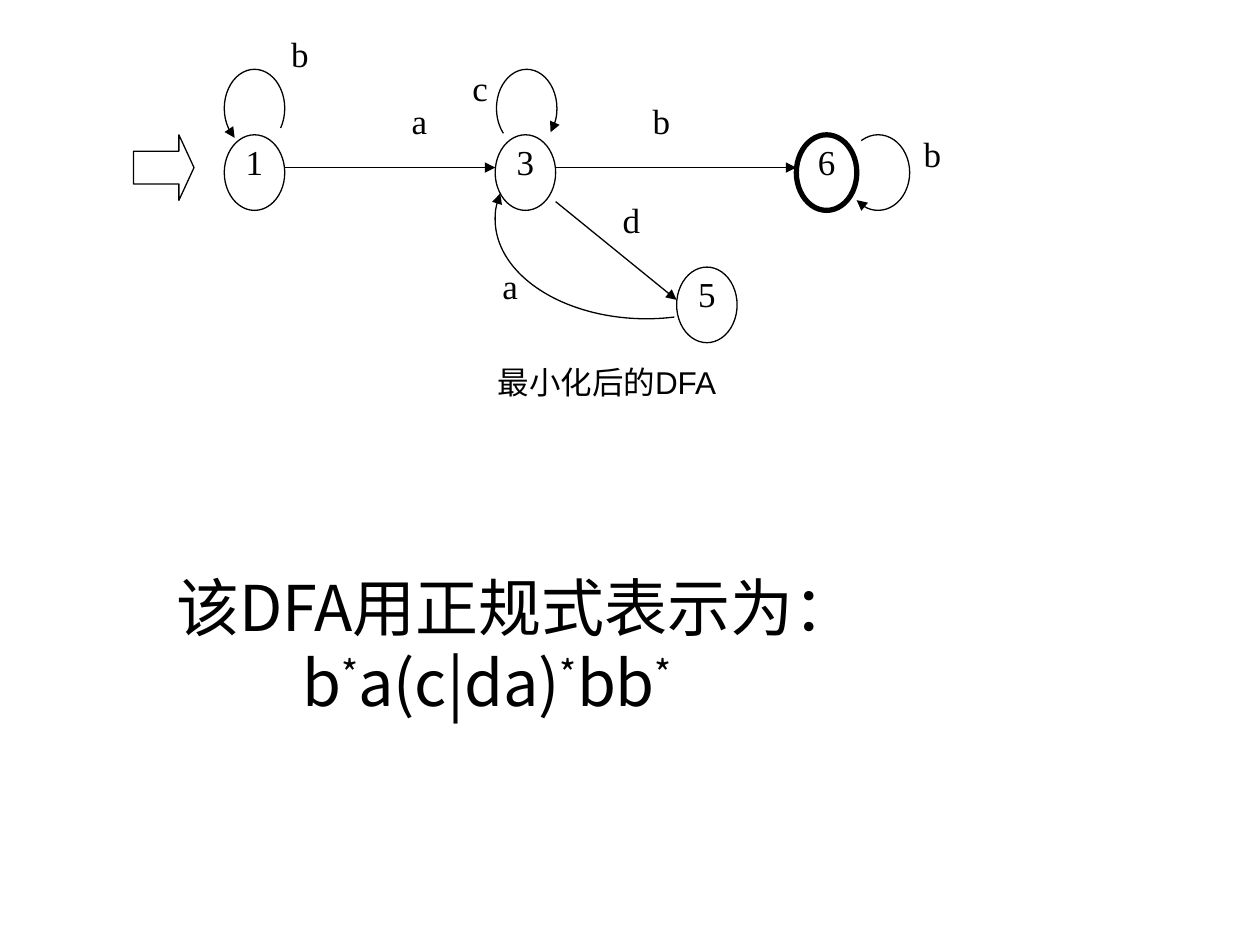
from typing import NamedTuple

from pptx import Presentation
from pptx.dml.color import RGBColor
from pptx.enum.shapes import MSO_CONNECTOR, MSO_SHAPE
from pptx.enum.text import MSO_ANCHOR, PP_ALIGN
from pptx.oxml.ns import qn
from pptx.util import Inches, Pt
from lxml.etree import SubElement

BLACK = RGBColor(0x00, 0x00, 0x00)
WHITE = RGBColor(0xFF, 0xFF, 0xFF)
SERIF, SANS, CHINESE = "Times New Roman", "Arial", "Noto Sans CJK SC"
STATE_WIDTH, STATE_HEIGHT = 0.48, 0.6
LABEL_WIDTH, LABEL_HEIGHT = 0.24, 0.42


class State(NamedTuple):
    name: str
    left: float
    top: float
    border: float = 0.75


class Label(NamedTuple):
    symbol: str
    left: float
    top: float


class Edge(NamedTuple):
    start: tuple[float, float]
    end: tuple[float, float]


class Curve(NamedTuple):
    """Clockwise arc: centre, radii, and start and end angles in degrees."""
    centre: tuple[float, float]
    radii: tuple[float, float]
    start: float
    end: float
    arrow: str = "tailEnd"


STATES = [State("1", 1.78, 1.07), State("3", 3.93, 1.07),
          State("6", 6.32, 1.07, 3), State("5", 5.37, 2.12)]
LABELS = [Label("b", 2.26, 0.28), Label("a", 3.21, 0.81), Label("c", 3.69, 0.55),
          Label("b", 5.13, 0.81), Label("b", 7.28, 1.07), Label("d", 4.89, 1.6),
          Label("a", 3.93, 2.12)]
EDGES = [Edge((2.26, 1.33), (3.93, 1.33)), Edge((4.41, 1.33), (6.32, 1.33)),
         Edge((4.41, 1.6), (5.37, 2.38))]
CURVES = [Curve((2.02, 0.86), (0.24, 0.31), 124, 37, "headEnd"),
          Curve((4.18, 0.86), (0.24, 0.31), 133, 45),
          Curve((6.97, 1.37), (0.25, 0.3), 242, 128),
          Curve((5.13, 1.74), (1.2, 0.79), 74, 190)]


def add_span(para, text: str, font: str, size: float):
    span = para.add_run()
    span.text = text
    span.font.name = font
    span.font.size = Pt(size)
    span.font.color.rgb = BLACK
    SubElement(span.font._element, qn("a:ea")).set("typeface", CHINESE)
    return span


def write_symbol(frame, symbol: str, spacing: float) -> None:
    frame.margin_left = frame.margin_right = 0
    frame.margin_top = frame.margin_bottom = 0
    frame.vertical_anchor = MSO_ANCHOR.TOP
    frame.word_wrap = True
    para = frame.paragraphs[0]
    para.alignment = PP_ALIGN.CENTER
    para.line_spacing = spacing
    add_span(para, symbol, SERIF, 20)


def add_outline(page, kind, left: float, top: float, width: float, height: float,
                border: float = 0.75):
    shape = page.shapes.add_shape(kind, Inches(left), Inches(top),
                                  Inches(width), Inches(height))
    shape.shadow.inherit = False
    shape.fill.solid()
    shape.fill.fore_color.rgb = WHITE
    shape.line.color.rgb = BLACK
    shape.line.width = Pt(border)
    return shape


def add_arrowhead(line, end: str) -> None:
    SubElement(line._get_or_add_ln(), qn(f"a:{end}")).set("type", "triangle")


def add_state(page, state: State) -> None:
    oval = add_outline(page, MSO_SHAPE.OVAL, state.left, state.top,
                       STATE_WIDTH, STATE_HEIGHT, state.border)
    write_symbol(oval.text_frame, state.name, 0.88)


def add_label(page, label: Label) -> None:
    box = page.shapes.add_textbox(Inches(label.left), Inches(label.top),
                                  Inches(LABEL_WIDTH), Inches(LABEL_HEIGHT))
    write_symbol(box.text_frame, label.symbol, 0.96)


def add_edge(page, edge: Edge) -> None:
    connector = page.shapes.add_connector(
        MSO_CONNECTOR.STRAIGHT, *map(Inches, edge.start + edge.end))
    connector.line.color.rgb = BLACK
    connector.line.width = Pt(0.75)
    add_arrowhead(connector.line, "tailEnd")
    SubElement(connector._element.spPr, qn("a:effectLst"))


def add_curve(page, curve: Curve) -> None:
    (x, y), (across, down) = curve.centre, curve.radii
    arc = add_outline(page, MSO_SHAPE.ARC, x - across, y - down, 2 * across, 2 * down)
    arc.fill.background()
    # Angles are stored in 60000ths of a degree, adjustments in 100000ths
    arc.adjustments[0] = curve.start * 0.6
    arc.adjustments[1] = curve.end * 0.6
    add_arrowhead(arc.line, curve.arrow)


def add_caption(page) -> None:
    box = page.shapes.add_textbox(Inches(3.85), Inches(2.83), Inches(2.01), Inches(0.4))
    box.text_frame.word_wrap = False
    add_span(box.text_frame.paragraphs[0], "最小化后的DFA", SANS, 18)


def add_expression(page) -> None:
    box = page.shapes.add_textbox(Inches(1.3), Inches(4.46), Inches(5.45), Inches(1.3))
    frame = box.text_frame
    frame.word_wrap = True
    add_span(frame.paragraphs[0], "该DFA用正规式表示为：", CHINESE, 36)
    para = frame.add_paragraph()
    para._p.get_or_add_pPr().set("marL", str(Inches(1)))
    for factor in ("b", "a(c|da)", "bb"):
        add_span(para, factor, CHINESE, 36)
        star = add_span(para, "*", CHINESE, 36)
        star.font._element.set("baseline", "30000")


def main() -> None:
    deck = Presentation()
    deck.slide_width, deck.slide_height = Inches(10), Inches(7.5)
    page = deck.slides.add_slide(deck.slide_layouts[6])

    # Automaton: start arrow, transitions, states and symbols
    start = add_outline(page, MSO_SHAPE.RIGHT_ARROW, 1.06, 1.07, 0.48, 0.52)
    start.adjustments[1] = 0.25
    for edge in EDGES:
        add_edge(page, edge)
    for state in STATES:
        add_state(page, state)
    for curve in CURVES:
        add_curve(page, curve)
    for label in LABELS:
        add_label(page, label)

    # Caption and the equivalent regular expression
    add_caption(page)
    add_expression(page)
    deck.save("out.pptx")


if __name__ == "__main__":
    main()
